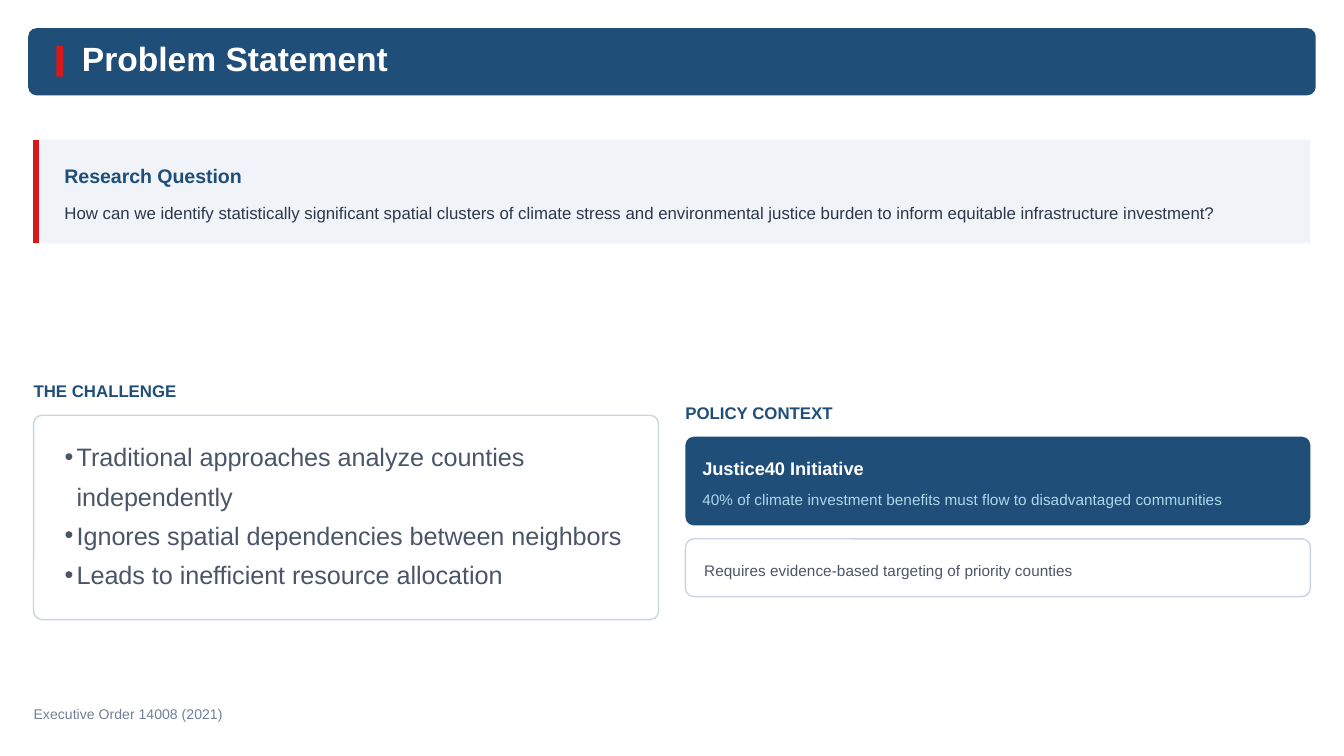
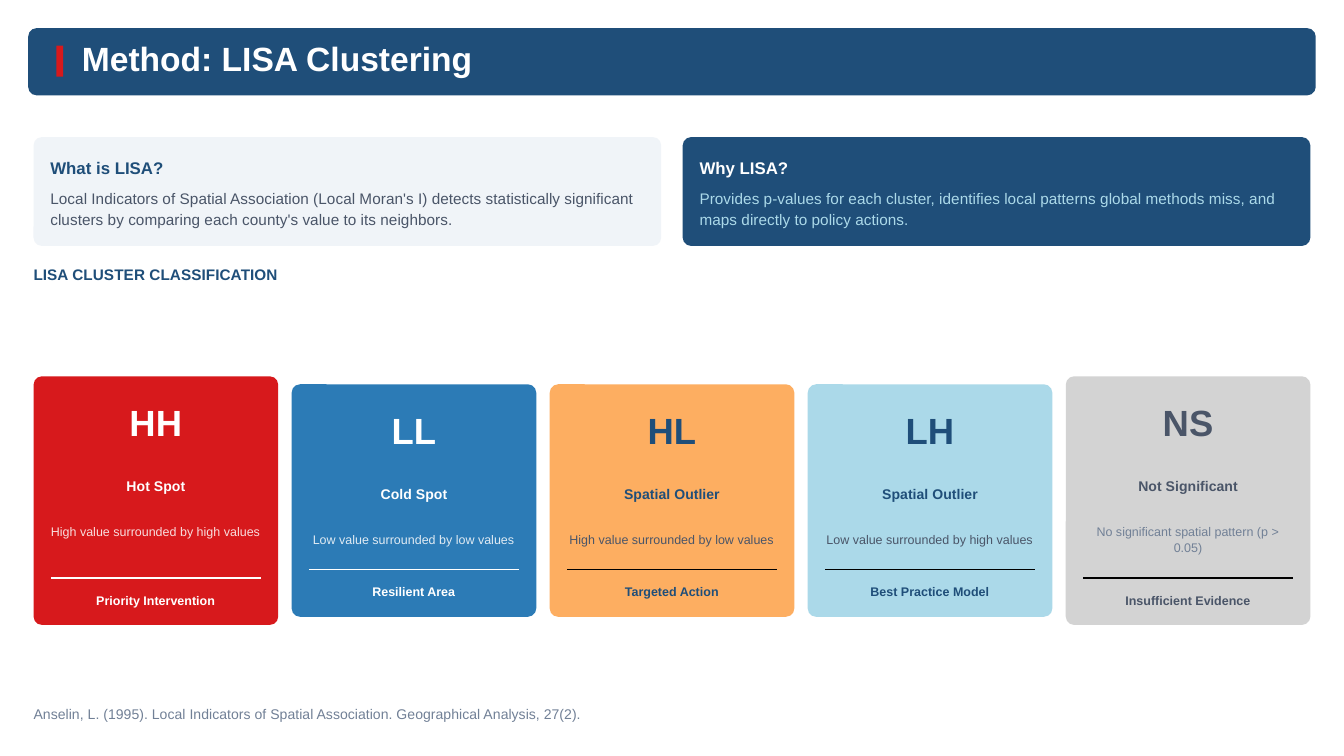
from lxml import etree
from pptx import Presentation
from pptx.dml.color import RGBColor
from pptx.enum.shapes import MSO_CONNECTOR, MSO_SHAPE
from pptx.enum.text import MSO_ANCHOR, MSO_AUTO_SIZE, PP_ALIGN
from pptx.oxml.ns import qn
from pptx.util import Inches, Pt

RECTANGLE, ROUNDED = MSO_SHAPE.RECTANGLE, MSO_SHAPE.ROUNDED_RECTANGLE
STRAIGHT = MSO_CONNECTOR.STRAIGHT
LEFT, CENTER = PP_ALIGN.LEFT, PP_ALIGN.CENTER
TOP, NO_AUTOFIT = MSO_ANCHOR.TOP, MSO_AUTO_SIZE.NONE

# Colours
NAVY = RGBColor(0x1F, 0x4E, 0x79)
RED = RGBColor(0xD7, 0x19, 0x1C)
BLUE = RGBColor(0x2C, 0x7B, 0xB6)
ORANGE = RGBColor(0xFD, 0xAE, 0x61)
SKY = RGBColor(0xAB, 0xD9, 0xE9)
SILVER = RGBColor(0xD3, 0xD3, 0xD3)
PALE = RGBColor(0xF0, 0xF4, 0xF8)
BORDER = RGBColor(0xCB, 0xD5, 0xE0)
INK = RGBColor(0x2D, 0x37, 0x48)
SLATE = RGBColor(0x4A, 0x55, 0x68)
MUTED = RGBColor(0x71, 0x80, 0x96)
WHITE = RGBColor(0xFF, 0xFF, 0xFF)
BLACK = RGBColor(0x00, 0x00, 0x00)

# Shared measures, in inches
FONT = "Arial"
MARGIN = 0.25
PADDING = 1 / 8
CORNER = 1 / 16
POINTS_PER_INCH = 72
TITLE_ONLY, TITLE_AND_BODY = 5, 1


def place(shape, left, top, width, height):
    shape.left, shape.top = Inches(left), Inches(top)
    shape.width, shape.height = Inches(width), Inches(height)


def format_text(shape, size, color, bold=False, leading=1.4, align=LEFT,
                before=0, after=0, inset=0):
    frame = shape.text_frame
    frame.word_wrap = True
    frame.auto_size = NO_AUTOFIT
    frame.vertical_anchor = TOP
    frame.margin_left = Inches(inset)
    frame.margin_top = frame.margin_right = frame.margin_bottom = 0
    for paragraph in frame.paragraphs:
        paragraph.alignment = align
        paragraph.line_spacing = Pt(size * leading)
        paragraph.space_before, paragraph.space_after = Pt(before), Pt(after)
        for run in paragraph.runs:
            run.font.name = FONT
            run.font.size = Pt(size)
            run.font.bold = bold
            run.font.color.rgb = color


def add_text(slide, text, left, top, width, height, size, color, **style):
    box = slide.shapes.add_textbox(
        Inches(left), Inches(top), Inches(width), Inches(height))
    box.text_frame.text = text
    format_text(box, size, color, **style)
    return box


def add_block(slide, left, top, width, height, fill, border=None, kind=ROUNDED):
    shape = slide.shapes.add_shape(
        kind, Inches(left), Inches(top), Inches(width), Inches(height))
    shape.shadow.inherit = False
    shape.fill.solid()
    shape.fill.fore_color.rgb = fill
    if kind == ROUNDED:
        shape.adjustments[0] = CORNER / min(width, height)
    if border is None:
        shape.line.fill.background()
    else:
        shape.line.color.rgb = border
        shape.line.width = Pt(0.75)
    return shape


def add_line(slide, left, top, right, bottom, color, weight=0.75):
    line = slide.shapes.add_connector(
        STRAIGHT, Inches(left), Inches(top), Inches(right), Inches(bottom))
    line.line.color.rgb = color
    line.line.width = Pt(weight)
    etree.SubElement(line.element.spPr, qn("a:effectLst"))


def add_heading(slide, text, left, top, size=9):
    add_text(slide, text, left, top, 4.74, 0.17, size, NAVY, bold=True)


def add_panel(slide, heading, text, left, top, width, height, fill,
              heading_color, text_color, heading_size=9):
    """Rounded panel with a bold heading over a short text."""
    add_block(slide, left, top, width, height, fill)
    heading_height = heading_size * 1.4 / POINTS_PER_INCH
    text_top = top + PADDING + heading_height + 4.5 / POINTS_PER_INCH
    add_text(slide, heading, left + PADDING, top + PADDING, width - 0.17,
             heading_height, heading_size, heading_color, bold=True, after=4.5)
    add_text(slide, text, left + PADDING, text_top, width - 0.17,
             top + height - PADDING - text_top, 8.25, text_color)


def add_slide(presentation, layout, title, title_width, source, source_width):
    """Slide with the title band and the source line."""
    slide = presentation.slides.add_slide(presentation.slide_layouts[layout])
    band = add_block(slide, 0.21, 0.21, 9.58, 0.5, NAVY)
    accent = add_block(slide, 0.42, 0.34, 0.05, 0.23, RED, kind=RECTANGLE)
    heading = slide.shapes.title
    heading.element.addprevious(band.element)
    heading.element.addprevious(accent.element)
    place(heading, 0.61, 0.33, title_width, 0.25)
    heading.text_frame.text = title
    format_text(heading, 18, WHITE, bold=True, leading=1)
    add_text(slide, source, MARGIN, 5.23, source_width, 0.15, 7.5, MUTED)
    return slide


def add_bullets(slide, items, left, top, width, height):
    body = slide.placeholders[1]
    slide.shapes.title.element.getparent().append(body.element)
    place(body, left, top, width, height)
    body.text_frame.text = "\n".join(items)
    format_text(body, 13.5, SLATE, leading=21 / 13.5, inset=0.09)
    for paragraph in body.text_frame.paragraphs:
        properties = paragraph._p.get_or_add_pPr()
        properties.set("marL", str(Inches(0.09)))
        properties.set("indent", str(-Inches(0.09)))
        etree.SubElement(properties, qn("a:buChar"), char="•")


def add_cluster_card(slide, left, code, name, meaning, action, fill, color,
                     meaning_color, line_color, tall=False, alpha=None):
    meaning_height = 0.24 if tall else 0.12
    height = 1.61 + meaning_height
    top = 3.725 - height / 2
    bottom = top + height
    add_block(slide, left, top, 1.82, height, fill)

    def add_row(text, row_top, row_height, size, row_color, **style):
        return add_text(slide, text, left + 0.11, row_top, 1.6, row_height,
                        size, row_color, align=CENTER, **style)

    add_row(code, top + PADDING, 0.38, 19.5, color, bold=True)
    add_row(name, top + 0.73, 0.15, 7.5, color, bold=True, before=4.5, after=3)
    text = add_row(meaning, top + 1.09, meaning_height, 6.75, meaning_color,
                   leading=1.3)
    if alpha:
        for rgb in text.element.iter(qn("a:srgbClr")):
            etree.SubElement(rgb, qn("a:alpha"), val=str(alpha * 1000))
    add_line(slide, left + 0.13, bottom - 0.35, left + 1.69, bottom - 0.35,
             line_color)
    add_row(action, bottom - 0.26, 0.13, 6.75, color, bold=True)


def build_problem_slide(presentation):
    slide = add_slide(presentation, TITLE_AND_BODY, "Problem Statement", 2.32,
                      "Executive Order 14008 (2021)", 1.42)

    # Research question
    add_block(slide, MARGIN, 1.04, 9.5, 0.77, PALE, kind=RECTANGLE)
    add_line(slide, 0.27, 1.04, 0.27, 1.81, RED, 3)
    add_text(slide, "Research Question", 0.48, 1.19, 9.27, 0.2, 10.5, NAVY,
             bold=True)
    add_text(slide, "How can we identify statistically significant spatial "
             "clusters of climate stress and environmental justice burden to "
             "inform equitable infrastructure investment?",
             0.48, 1.47, 9.27, 0.19, 9, INK, leading=1.5, before=6)

    # Challenge
    add_heading(slide, "THE CHALLENGE", MARGIN, 2.81)
    add_block(slide, MARGIN, 3.09, 4.65, 1.52, WHITE, BORDER)
    add_bullets(slide, [
        "Traditional approaches analyze counties independently",
        "Ignores spatial dependencies between neighbors",
        "Leads to inefficient resource allocation",
    ], 0.39, 3.22, 4.38, 1.25)

    # Policy context
    add_heading(slide, "POLICY CONTEXT", 5.1, 2.97)
    add_panel(slide, "Justice40 Initiative",
              "40% of climate investment benefits must flow to disadvantaged "
              "communities",
              5.1, 3.25, 4.65, 0.66, NAVY, WHITE, SKY, heading_size=9.75)
    add_block(slide, 5.1, 4.01, 4.65, 0.43, WHITE, BORDER)
    add_text(slide, "Requires evidence-based targeting of priority counties",
             5.24, 4.15, 4.46, 0.16, 8.25, SLATE)


def build_method_slide(presentation):
    slide = add_slide(presentation, TITLE_ONLY, "Method: LISA Clustering", 2.97,
                      "Anselin, L. (1995). Local Indicators of Spatial "
                      "Association. Geographical Analysis, 27(2).", 4.12)

    # Definition and reason
    add_panel(slide, "What is LISA?",
              "Local Indicators of Spatial Association (Local Moran's I) detects "
              "statistically significant clusters by comparing each county's "
              "value to its neighbors.",
              MARGIN, 1.02, 4.67, 0.81, PALE, NAVY, SLATE)
    add_panel(slide, "Why LISA?",
              "Provides p-values for each cluster, identifies local patterns "
              "global methods miss, and maps directly to policy actions.",
              5.08, 1.02, 4.67, 0.81, NAVY, WHITE, SKY)

    # Cluster cards
    add_heading(slide, "LISA CLUSTER CLASSIFICATION", MARGIN, 1.95, 8.25)
    on_dark = dict(color=WHITE, meaning_color=WHITE, line_color=WHITE, alpha=85)
    on_light = dict(color=NAVY, meaning_color=SLATE, line_color=BLACK)
    on_grey = dict(color=SLATE, meaning_color=MUTED, line_color=BLACK)
    clusters = [
        ("HH", "Hot Spot", "High value surrounded by high values",
         "Priority Intervention", RED, on_dark, True),
        ("LL", "Cold Spot", "Low value surrounded by low values",
         "Resilient Area", BLUE, on_dark, False),
        ("HL", "Spatial Outlier", "High value surrounded by low values",
         "Targeted Action", ORANGE, on_light, False),
        ("LH", "Spatial Outlier", "Low value surrounded by high values",
         "Best Practice Model", SKY, on_light, False),
        ("NS", "Not Significant", "No significant spatial pattern (p > 0.05)",
         "Insufficient Evidence", SILVER, on_grey, True),
    ]
    for index, (*texts, fill, colors, tall) in enumerate(clusters):
        add_cluster_card(slide, MARGIN + 1.92 * index, *texts, fill, tall=tall,
                         **colors)


def main():
    presentation = Presentation()
    presentation.slide_width = Inches(10)
    presentation.slide_height = Inches(10 * 9 / 16)
    build_problem_slide(presentation)
    build_method_slide(presentation)
    presentation.save("out.pptx")


if __name__ == "__main__":
    main()
